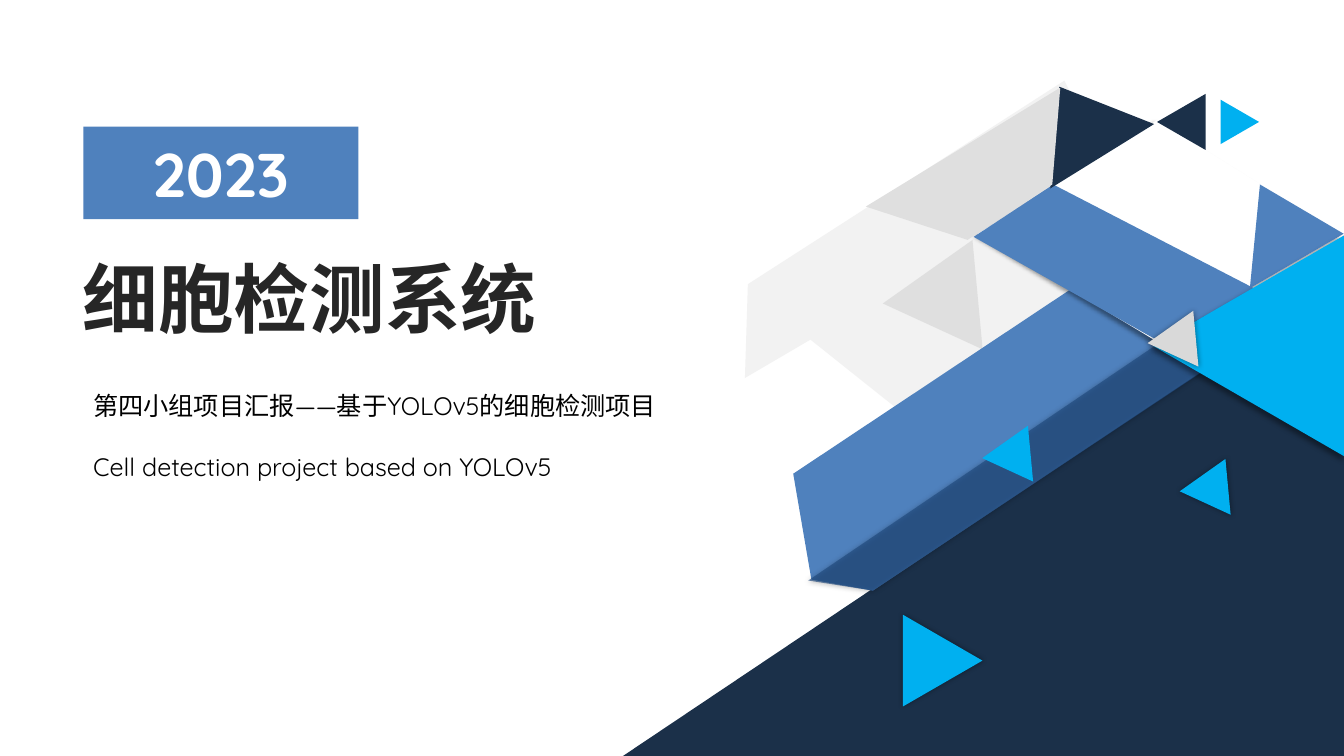
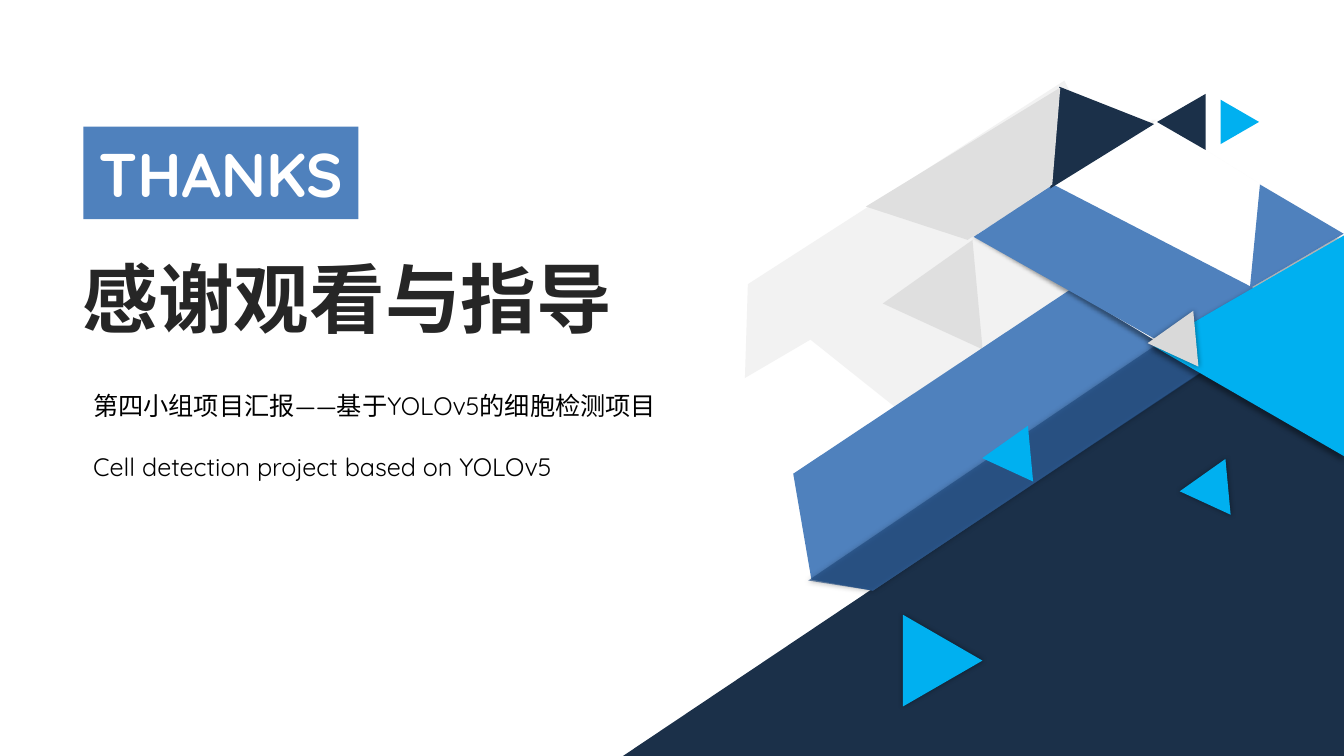
from dataclasses import dataclass
from math import sqrt

from lxml import etree
from pptx import Presentation
from pptx.dml.color import RGBColor
from pptx.enum import shapes, text
from pptx.oxml.ns import qn
from pptx.util import Pt

FONT = "Quicksand"
WHITE, BLACK, INK = "FFFFFF", "000000", "262626"
NAVY, BLUE, DEEP_BLUE, CYAN = "1B3049", "4F81BD", "1F497D", "00B0F0"
PALE, LIGHT, GREY = "F2F2F2", "DFDFDF", "D9D9D9"

SUBTITLES = ("第四小组项目汇报——基于YOLOv5的细胞检测项目",
             "Cell detection project based on YOLOv5")


@dataclass(frozen=True)
class Shadow:
    blur: float
    distance: float = 0
    angle: float = 50


GLOW = Shadow(4)


@dataclass(frozen=True)
class Triangle:
    """Equilateral triangle, turned about the centre of its box."""
    x: float
    y: float
    side: float
    turn: float
    fill: str
    opacity: int = 100
    shadow: Shadow | None = None


@dataclass(frozen=True)
class Polygon:
    points: tuple[tuple[float, float], ...]
    fill: str
    opacity: int = 100
    shadow: Shadow | None = None


@dataclass(frozen=True)
class Corner:
    """Right triangle that fills the lower right corner."""
    left: float
    top: float
    width: float
    height: float
    fill: str
    opacity: int = 100
    shadow: Shadow | None = None


ARTWORK = (
    Polygon(((645.8, 295.9), (578.9, 242.6), (532.1, 270), (534.2, 203),
             (760.3, 57.6), (820.8, 179.3)), PALE),
    Triangle(682.2, 221.8, 78.5, 144.7, GREY, opacity=73),
    Corner(445, 195, 515, 345, NAVY),
    Triangle(659.2, 463.7, 65.5, 330, CYAN, shadow=GLOW),
    Triangle(869, 353.5, 40, 144.7, CYAN, shadow=GLOW),
    Polygon(((623.5, 421.9), (579.6, 414), (566.6, 338.4), (848.2, 151.2),
             (882.7, 249.1)), BLUE),
    Polygon(((623.5, 421.9), (577.4, 414.7), (871.9, 215.3), (882.7, 249.8)),
            DEEP_BLUE, opacity=66, shadow=GLOW),
    Triangle(727.9, 329.8, 40, 144.7, CYAN),
    Polygon(((698.4, 167), (826.6, 85.7), (958.3, 167.8), (826.6, 244.1)),
            WHITE, shadow=Shadow(3, 3, 135)),
    Polygon(((827.3, 243.4), (695.5, 169.2), (752.4, 131.8), (897.1, 206.6)), BLUE),
    Polygon(((892.8, 205.9), (900, 131.8), (959.8, 167)), BLUE),
    Triangle(892.1, 247, 158.4, 270, CYAN, shadow=Shadow(4, 3, 135)),
    Triangle(846, 247.7, 40, 144.7, GREY, shadow=GLOW),
    Triangle(843.8, 87.1, 40, 270, NAVY),
    Triangle(885.6, 87.1, 31.7, 90, CYAN),
    Polygon(((750.2, 134.6), (756.7, 61.9), (824.4, 88.6)), NAVY),
    Polygon(((757.4, 62.6), (751.7, 131.8), (691.2, 171.4), (618.5, 147.6)), LIGHT),
)


def rgb(value: str) -> RGBColor:
    return RGBColor.from_string(value)


def paint(shape, fill: str, opacity: int = 100, shadow: Shadow | None = None) -> None:
    shape.fill.solid()
    shape.fill.fore_color.rgb = rgb(fill)
    shape.line.fill.background()
    shape.shadow.inherit = False
    properties = shape.element.spPr
    if opacity < 100:
        tint = properties.find(qn("a:solidFill")).find(qn("a:srgbClr"))
        etree.SubElement(tint, qn("a:alpha"), val=str(opacity * 1000))
    if shadow:
        outer = etree.SubElement(
            properties.find(qn("a:effectLst")), qn("a:outerShdw"),
            blurRad=str(Pt(shadow.blur)), dist=str(Pt(shadow.distance)),
            dir=str(int(shadow.angle * 60000)), algn="ctr", rotWithShape="0")
        shade = etree.SubElement(outer, qn("a:srgbClr"), val=BLACK)
        etree.SubElement(shade, qn("a:alpha"), val="40000")


def add_outline(slide, piece: Triangle | Polygon | Corner):
    match piece:
        case Polygon():
            start, *others = [(Pt(x), Pt(y)) for x, y in piece.points]
            builder = slide.shapes.build_freeform(*start)
            builder.add_line_segments(others, close=True)
            return builder.convert_to_shape()
        case Triangle():
            height = piece.side * sqrt(3) / 2
            triangle = slide.shapes.add_shape(
                shapes.MSO_SHAPE.ISOSCELES_TRIANGLE,
                Pt(piece.x - piece.side / 2), Pt(piece.y - height / 2),
                Pt(piece.side), Pt(height))
            triangle.rotation = piece.turn
            return triangle
        case Corner():
            corner = slide.shapes.add_shape(
                shapes.MSO_SHAPE.RIGHT_TRIANGLE, Pt(piece.left), Pt(piece.top),
                Pt(piece.width), Pt(piece.height))
            corner.element.spPr.find(qn("a:xfrm")).set("flipH", "1")
            return corner


def write(paragraph, words: str, size: float, color: str, bold: bool = False) -> None:
    paragraph.text = words
    font = paragraph.font
    font.name, font.size, font.bold = FONT, Pt(size), bold
    font.color.rgb = rgb(color)
    defaults = paragraph._p.pPr.find(qn("a:defRPr"))
    etree.SubElement(defaults, qn("a:ea"), typeface=FONT)


def add_text_frame(slide, left: float, top: float, width: float, height: float):
    frame = slide.shapes.add_textbox(Pt(left), Pt(top), Pt(width), Pt(height)).text_frame
    frame.word_wrap = True
    frame.auto_size = text.MSO_AUTO_SIZE.SHAPE_TO_FIT_TEXT
    return frame


def add_cover(deck, badge_words: str, title_words: str) -> None:
    slide = deck.slides.add_slide(deck.slide_layouts[6])
    for piece in ARTWORK:
        paint(add_outline(slide, piece), piece.fill, piece.opacity, piece.shadow)

    badge = slide.shapes.add_shape(
        shapes.MSO_SHAPE.RECTANGLE, Pt(59.5), Pt(90.5), Pt(196.5), Pt(66))
    paint(badge, BLUE)
    badge.text_frame.vertical_anchor = text.MSO_ANCHOR.MIDDLE
    label = badge.text_frame.paragraphs[0]
    label.alignment = text.PP_ALIGN.CENTER
    write(label, badge_words, 44, WHITE, bold=True)

    title = add_text_frame(slide, 52, 176.5, 422.5, 72.5).paragraphs[0]
    title.alignment = text.PP_ALIGN.JUSTIFY
    write(title, title_words, 54, INK, bold=True)

    subtitle = add_text_frame(slide, 59.5, 254, 473, 94.5)
    for index, words in enumerate(SUBTITLES):
        line = subtitle.add_paragraph() if index else subtitle.paragraphs[0]
        line.line_spacing = 2.0
        write(line, words, 18, BLACK)


def main() -> None:
    deck = Presentation()
    deck.slide_width, deck.slide_height = Pt(960), Pt(540)
    add_cover(deck, "2023", "细胞检测系统")
    add_cover(deck, "THANKS", "感谢观看与指导")
    deck.save("out.pptx")


if __name__ == "__main__":
    main()
